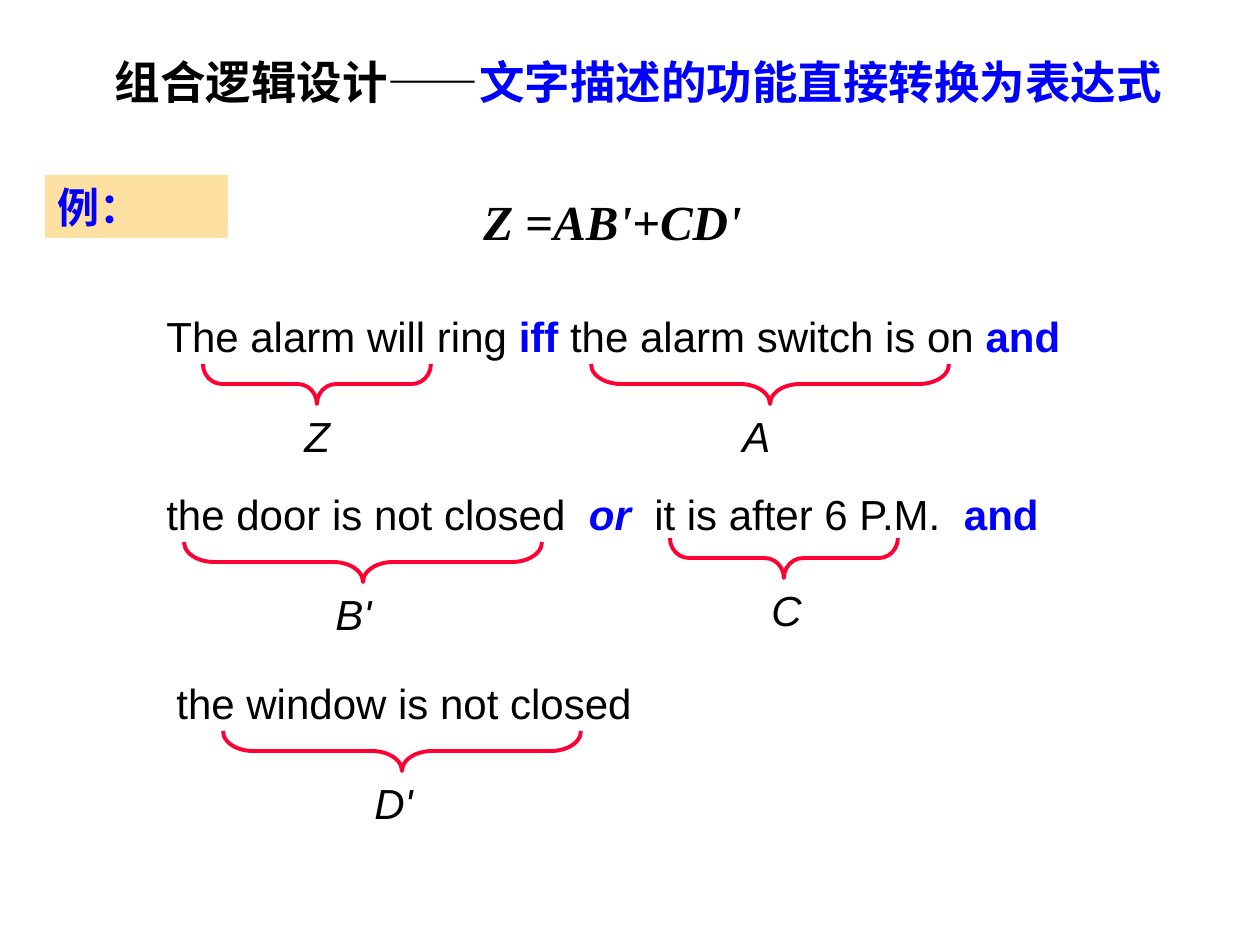
from pptx import Presentation
from pptx import util as u
from pptx.dml.color import RGBColor
from pptx.enum import shapes, text

PX = 914400 / 126  # EMU in one px
BLACK, BLUE, RED, SAND = "000000", "0000FF", "FF0033", "FFE0A3"
KEY = dict(color=BLUE, bold=True)
MATH = dict(bold=True, italic=True)

# Content: (text, format) runs
TITLE = [("组合逻辑设计——", dict(bold=True)), ("文字描述的功能直接转换为表达式", KEY)]
EXAMPLE = [("例：", KEY)]
FORMULA = [("Z ", MATH), ("=", dict(bold=True)), ("AB'+CD'", MATH)]

# Sentence lines: left, top, width, runs
LINES = [
    (154, 304, 1052, [("The alarm will ring ", {}), ("iff ", KEY),
                      ("the alarm switch is on ", {}), ("and", KEY)]),
    (154, 482, 983, [("the door is not closed  ", {}),
                     ("or  ", dict(KEY, italic=True)),
                     ("it is after 6 P.M.  ", {}), ("and", KEY)]),
    (164, 671, 496, [("the window is not closed", {})]),
]

# Braces: label, left, top, size
BRACES = [("Z", 203, 364, "narrow"), ("A", 591, 364, "wide"),
          ("B'", 184, 542, "wide"), ("C", 670, 538, "narrow"),
          ("D'", 223, 731, "wide")]
# Size: width, curve, distance from brace centre back to label
SIZES = {"narrow": (228, 0.48, 25), "wide": (358, 0.75, 40)}
BRACE_H = 40
LINE_H = 63


def px(*values):
    return [u.Emu(round(v * PX)) for v in values]


def rgb(value):
    return RGBColor.from_string(value)


def write(sp, runs, size=24, font="Arial"):
    tf = sp.text_frame
    frame = dict(word_wrap=True, auto_size=text.MSO_AUTO_SIZE.NONE,
                 vertical_anchor=text.MSO_ANCHOR.TOP)
    for name, value in frame.items():
        setattr(tf, name, value)
    p = tf.paragraphs[0]
    p.alignment = text.PP_ALIGN.LEFT
    for words, look in runs:
        r = p.add_run()
        r.text = words
        look = dict(dict(color=BLACK, bold=False, italic=False), **look)
        r.font.color.rgb = rgb(look.pop("color"))
        for name, value in dict(look, size=u.Pt(size), name=font).items():
            setattr(r.font, name, value)


def add_text(s, box, runs, **style):
    sp = s.shapes.add_textbox(*px(*box))
    write(sp, runs, **style)
    return sp


def add_brace(s, label, left, top, kind):
    width, curve, back = SIZES[kind]
    cx, cy = left + width / 2, top + BRACE_H / 2
    # A left brace turned to point down
    sp = s.shapes.add_shape(
        shapes.MSO_SHAPE.LEFT_BRACE,
        *px(cx - BRACE_H / 2, cy - width / 2, BRACE_H, width))
    sp.rotation = 270
    sp.adjustments[0] = curve
    sp.shadow.inherit = False
    sp.fill.background()
    sp.line.color.rgb = rgb(RED)
    sp.line.width = u.Pt(2.25)
    label_w = 59 if len(label) == 1 else 79
    add_text(s, (cx - back, top + BRACE_H, label_w, LINE_H),
             [(label, dict(italic=True))])


def main():
    prs = Presentation()
    prs.slide_width, prs.slide_height = px(1260, 945)
    s = prs.slides.add_slide(prs.slide_layouts[5])

    # Title
    title = s.shapes.title
    title.left, title.top, title.width, title.height = px(102, 48, 1192, 68)
    write(title, TITLE, size=26)

    # Example tag and formula
    tag = add_text(s, (45, 175, 183, LINE_H), EXAMPLE, font="Times New Roman")
    tag.fill.solid()
    tag.fill.fore_color.rgb = rgb(SAND)
    add_text(s, (471, 185, 328, 72), FORMULA, size=28, font="Times New Roman")

    # Sentence with its braces
    for left, top, width, runs in LINES:
        add_text(s, (left, top, width, LINE_H), runs)
    for brace in BRACES:
        add_brace(s, *brace)

    prs.save("out.pptx")


if __name__ == "__main__":
    main()
